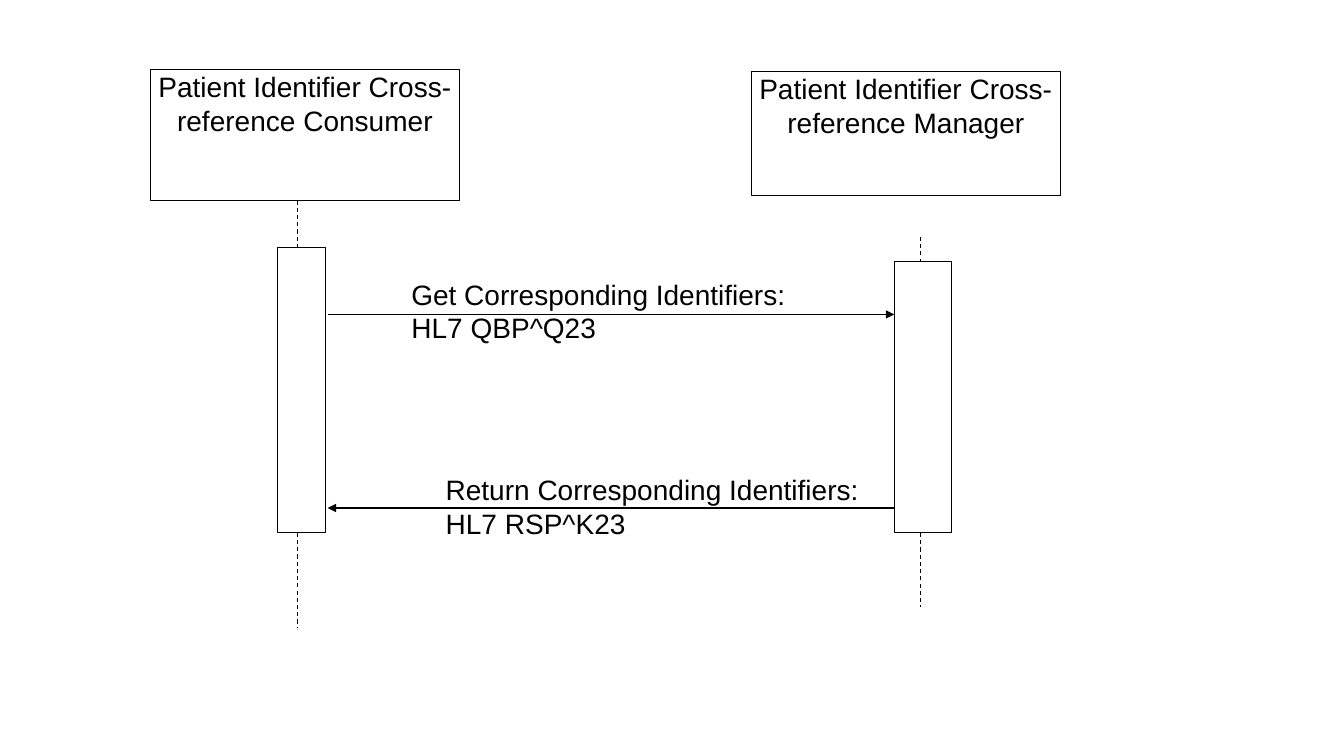
from lxml.etree import SubElement
from pptx import Presentation
from pptx.dml.color import RGBColor
from pptx.enum.dml import MSO_LINE
from pptx.enum.shapes import MSO_CONNECTOR, MSO_SHAPE
from pptx.enum.text import MSO_ANCHOR, PP_ALIGN
from pptx.oxml.ns import qn
from pptx.util import Inches, Pt

COLORS = {"ink": "000000", "paper": "FFFFFF"}
INK = RGBColor.from_string(COLORS["ink"])
PAPER = RGBColor.from_string(COLORS["paper"])

prs = Presentation()
prs.slide_width, prs.slide_height = Inches(13.33), Inches(7.5)
s = prs.slides.add_slide(prs.slide_layouts[6])


def add_line(x1, y1, x2, y2):
    line = s.shapes.add_connector(
        MSO_CONNECTOR.STRAIGHT, Inches(x1), Inches(y1), Inches(x2), Inches(y2))
    line.line.color.rgb = INK
    line.line.width = Pt(0.75)
    SubElement(line._element.spPr, qn("a:effectLst"))
    return line


def write_text(sp, text, align):
    tf = sp.text_frame
    tf.word_wrap = True
    tf.vertical_anchor = MSO_ANCHOR.TOP
    tf.margin_left = tf.margin_right = tf.margin_top = tf.margin_bottom = 0
    p = tf.paragraphs[0]
    p.text = text
    p.alignment = align
    p.font.name = "Arial"
    p.font.size = Pt(20)
    p.font.color.rgb = INK


for x, top, bottom in [(2.95, 1.99, 6.23), (9.13, 2.35, 6.02)]:
    lifeline = add_line(x, top, x, bottom)
    lifeline.line.dash_style = MSO_LINE.DASH

boxes = [
    (2.75, 2.46, 0.48, 2.82, ""),
    (8.87, 2.59, 0.57, 2.69, ""),
    (1.49, 0.69, 3.07, 1.3, "Patient Identifier Cross-reference Consumer"),
    (7.45, 0.71, 3.07, 1.23, "Patient Identifier Cross-reference Manager"),
]
for x, y, w, h, actor in boxes:
    sp = s.shapes.add_shape(
        MSO_SHAPE.RECTANGLE, Inches(x), Inches(y), Inches(w), Inches(h))
    sp.shadow.inherit = False
    sp.line.color.rgb = INK
    sp.line.width = Pt(0.75)
    if actor:
        sp.fill.background()
        write_text(sp, actor, PP_ALIGN.CENTER)
    else:
        sp.fill.solid()
        sp.fill.fore_color.rgb = PAPER

messages = [
    (4.08, 2.75, 4.1, "Get Corresponding Identifiers: HL7 QBP^Q23", 3.25, 8.87, 3.12),
    (4.42, 4.69, 4.23, "Return Corresponding Identifiers: HL7 RSP^K23", 8.87, 3.25, 5.04),
]
for x, y, w, label, start, end, arrow_y in messages:
    sp = s.shapes.add_textbox(Inches(x), Inches(y), Inches(w), Inches(0.73))
    write_text(sp, label, PP_ALIGN.LEFT)
    arrow = add_line(start, arrow_y, end, arrow_y)
    SubElement(arrow.line._get_or_add_ln(), qn("a:tailEnd"), type="triangle")

prs.save("out.pptx")
